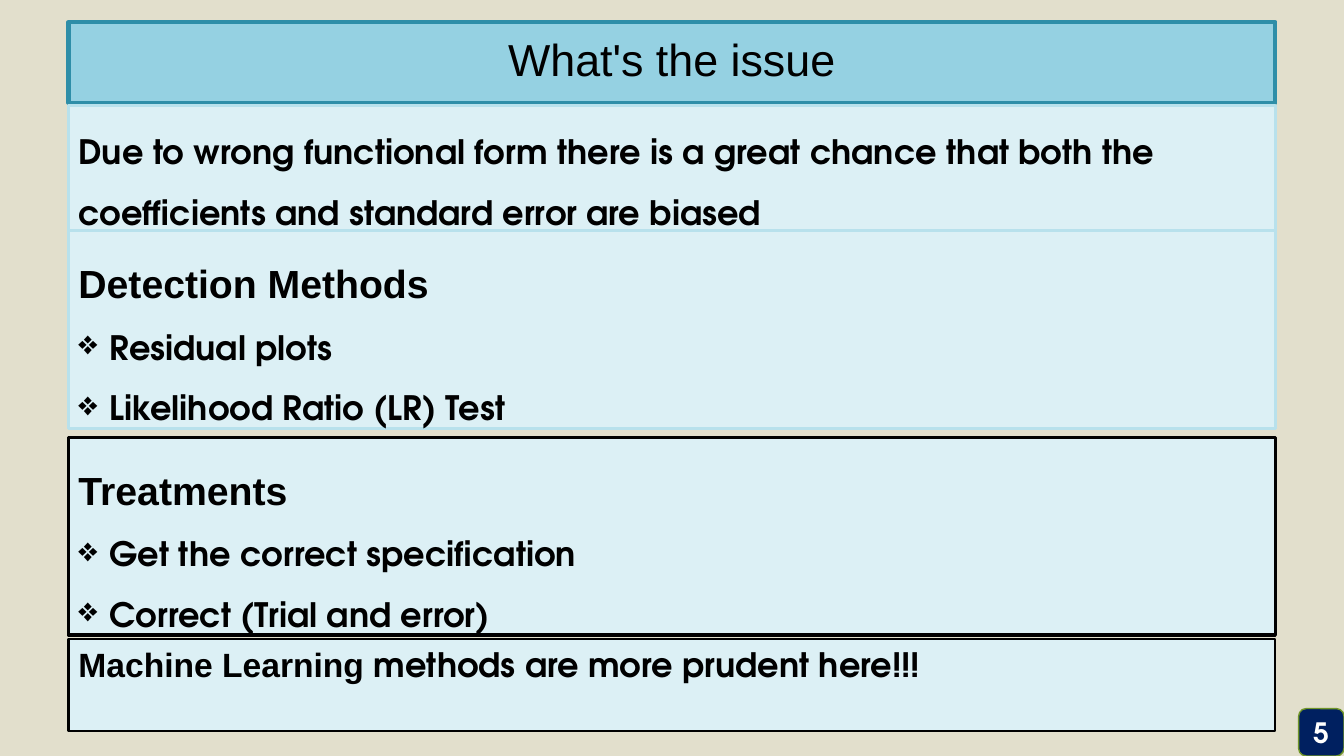
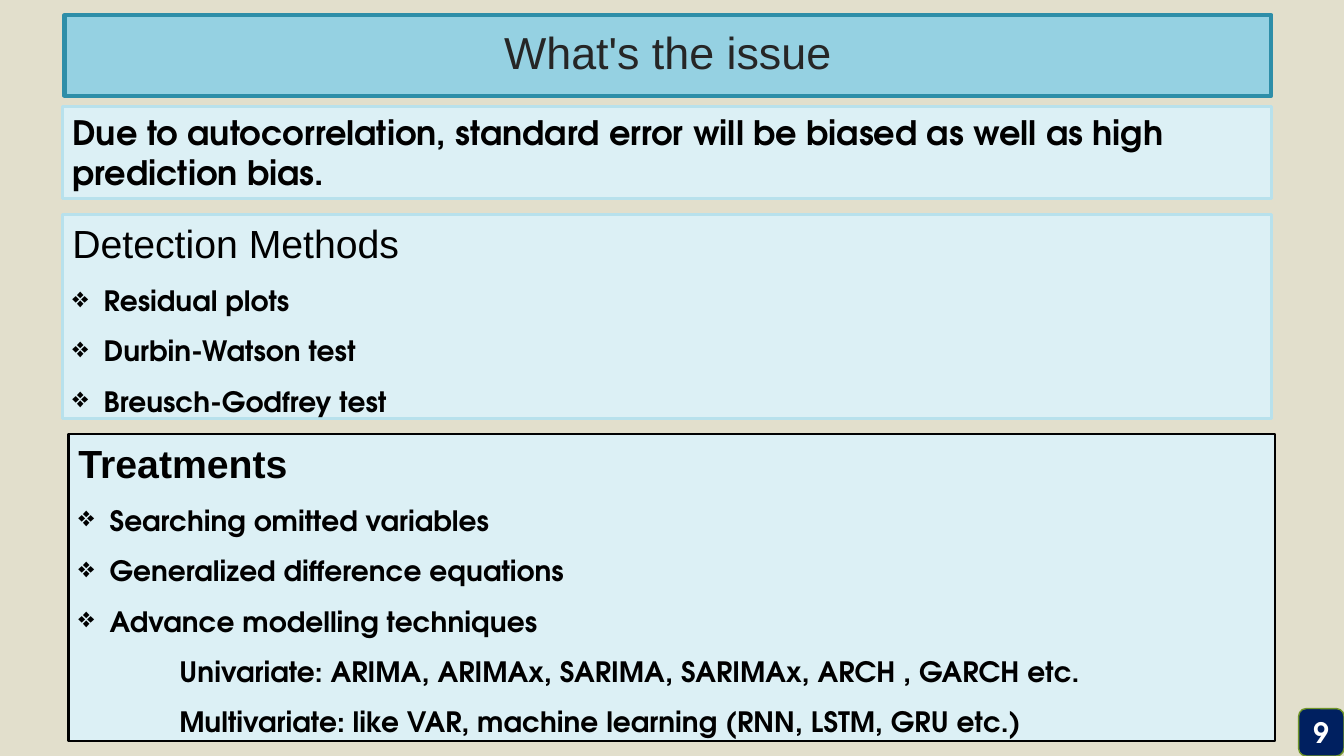
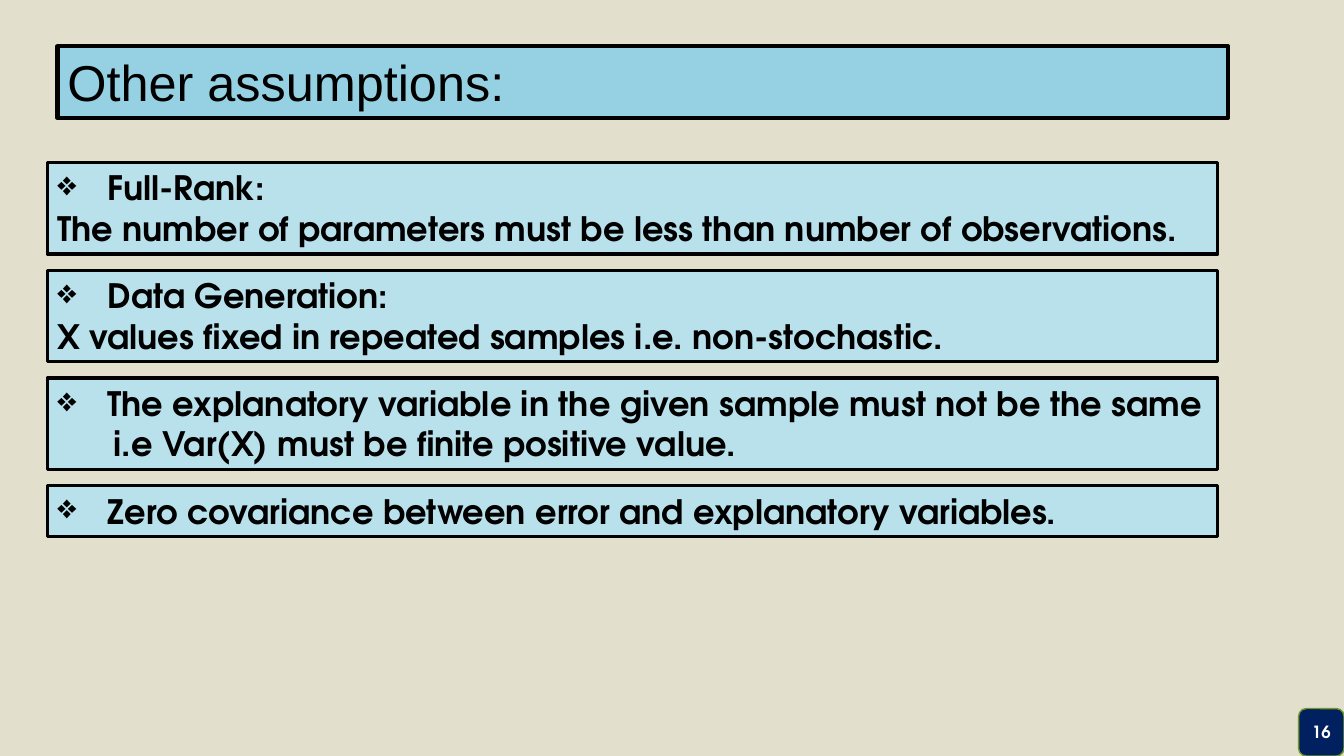
from lxml.etree import SubElement
from pptx import Presentation
from pptx.dml.color import RGBColor
from pptx.enum.shapes import MSO_SHAPE
from pptx.enum.text import MSO_ANCHOR, PP_ALIGN
from pptx.oxml.ns import qn
from pptx.util import Inches, Pt

COLORS = {
    "sand": "E2DFCC", "pale": "DCF0F5", "light": "B8E1EC", "sky": "95D1E2",
    "teal": "2E8EA8", "black": "000000", "charcoal": "262626",
    "navy": "002060", "green": "719629", "white": "FFFFFF",
}
HEAD, BODY = "Arial", "TeX Gyre Adventor"


def rgb(name):
    return RGBColor.from_string(COLORS[name])


def font(size, name=BODY, bold=True, color="black"):
    return {"size": Pt(size), "name": name, "bold": bold, "color": color}


def para(text, style, spacing=None, left=0, bullet=False, align=PP_ALIGN.LEFT):
    runs = [(text, style)] if isinstance(text, str) else text
    return {"runs": runs, "left": left, "bullet": bullet,
            "format": {"line_spacing": spacing, "alignment": align}}


def bullets(texts, size, spacing=None, left=0.31):
    return [para(t, font(size), spacing, left, True) for t in texts]


def write_para(p, item):
    pPr = p._p.get_or_add_pPr()
    left = Inches(item["left"])
    pPr.set("marL", str(left))
    pPr.set("indent", str(-left if item["bullet"] else 0))
    if item["bullet"]:
        SubElement(pPr, qn("a:buChar")).set("char", "❖")
    for key, value in item["format"].items():
        setattr(p, key, value)
    for text, style in item["runs"]:
        r = p.add_run()
        r.text = text
        for key, value in style.items():
            if key == "color":
                r.font.color.rgb = rgb(value)
            else:
                setattr(r.font, key, value)


def panel(s, box, paras, fill="pale", line="light", width=2.25,
          anchor=MSO_ANCHOR.TOP, shape=MSO_SHAPE.RECTANGLE):
    sp = s.shapes.add_shape(shape, *map(Inches, box))
    sp.shadow.inherit = False
    sp.fill.solid()
    sp.fill.fore_color.rgb = rgb(fill)
    sp.line.color.rgb = rgb(line)
    sp.line.width = Pt(width)
    tf = sp.text_frame
    tf.word_wrap = True
    tf.vertical_anchor = anchor
    for i, item in enumerate(paras):
        write_para(tf.paragraphs[0] if i == 0 else tf.add_paragraph(), item)


def title_band(s, box, text, color="black"):
    style = font(32, HEAD, False, color)
    panel(s, box, [para(text, style, 0.9, align=PP_ALIGN.CENTER)],
          "sky", "teal", 3, MSO_ANCHOR.MIDDLE)


def page_badge(s, number, size=20):
    style = font(size, color="white")
    panel(s, (12.88, 7.03, 0.45, 0.47),
          [para(str(number), style, align=PP_ALIGN.CENTER)],
          "navy", "green", 1, MSO_ANCHOR.MIDDLE, MSO_SHAPE.ROUNDED_RECTANGLE)


def new_slide(prs):
    return prs.slides.add_slide(prs.slide_layouts[6])


def issue_slide(prs, number, title_box, title_color, panels):
    s = new_slide(prs)
    title_band(s, title_box, "What's the issue", title_color)
    for box, paras, look in panels:
        panel(s, box, paras, **look)
    page_badge(s, number)


def assumptions_slide(prs, number, title, box, gap, groups):
    s = new_slide(prs)
    left, top, width = box
    panel(s, (left + 0.1, 0.46, width, 0.71),
          [para(title, font(36, HEAD, False))], "sky", "black", 3)
    for heading, detail, indent in groups:
        paras = bullets([heading], 24, left=0.5)
        if detail:
            paras.append(para(detail, font(24), left=indent))
        height = 0.1 + 0.405 * len(paras)
        panel(s, (left, top, width, height), paras, "light", "black")
        top += height + gap
    page_badge(s, number, 12)


def main():
    prs = Presentation()
    prs.slide_width, prs.slide_height = Inches(13.33), Inches(7.5)
    background = prs.slide_master.background.fill
    background.solid()
    background.fore_color.rgb = rgb("sand")

    left, width = 0.68, 11.97
    heading = font(28, HEAD)
    issue_slide(prs, 5, (left, 0.22, width, 0.8), "black", [
        ((left, 1.05, width, 1.25),
         [para("Due to wrong functional form there is a great chance that "
               "both the coefficients and standard error are biased",
               font(24), 1.5)], {}),
        ((left, 2.29, width, 1.96),
         [para("Detection Methods", heading, 1.5)]
         + bullets(["Residual plots", "Likelihood Ratio (LR) Test"], 24, 1.5),
         {}),
        ((left, 4.34, width, 1.96),
         [para("Treatments", heading, 1.5)]
         + bullets(["Get the correct specification",
                    "Correct (Trial and error)"], 24, 1.5),
         {"line": "black"}),
        ((left, 6.34, width, 0.91),
         [para([("Machine Learning ", font(24, HEAD)),
                ("methods are more prudent here!!!", font(24))], None)],
         {"line": "black", "width": 1.5}),
    ])

    models = ["Univariate: ARIMA, ARIMAx, SARIMA, SARIMAx, ARCH , GARCH etc.",
              "Multivariate: like VAR, machine learning (RNN, LSTM, GRU etc.)"]
    issue_slide(prs, 9, (0.64, 0.15, width, 0.8), "charcoal", [
        ((0.62, 1.06, 11.99, 0.91),
         [para("Due to autocorrelation, standard error will be biased as "
               "well as high prediction bias.", font(24))], {}),
        ((0.62, 2.13, 11.99, 2.02),
         [para("Detection Methods", font(28, HEAD, False))]
         + bullets(["Residual plots", "Durbin-Watson test",
                    "Breusch-Godfrey test"], 20, 1.5), {}),
        ((left, 4.31, width, 3.04),
         [para("Treatments", heading)]
         + bullets(["Searching omitted variables",
                    "Generalized difference equations",
                    "Advance modelling techniques"], 20, 1.5)
         + [para(text, font(20), 1.5, 1) for text in models],
         {"line": "black", "width": 1.5}),
    ])

    assumptions_slide(prs, 16, "Other assumptions:", (0.47, 1.61, 11.61), 0.16, [
        ("Full-Rank:",
         "The number of parameters must be less than number of observations.", 0),
        ("Data Generation:",
         "X values fixed in repeated samples i.e. non-stochastic.", 0),
        ("The explanatory variable in the given sample must not be the same",
         "i.e Var(X) must be finite positive value.", 0.56),
        ("Zero covariance between error and explanatory variables.", None, 0),
    ])
    prs.save("out.pptx")


if __name__ == "__main__":
    main()
